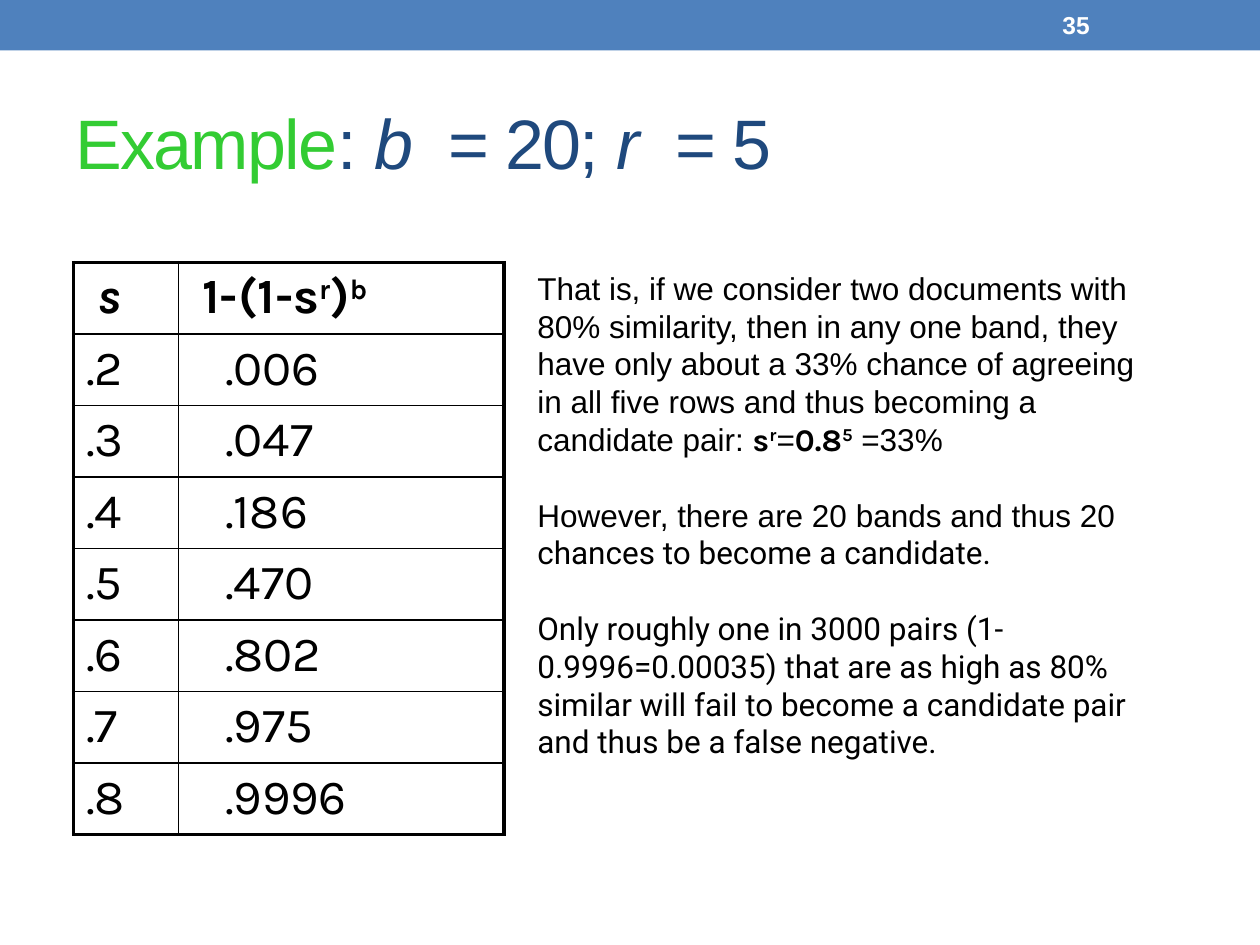
from lxml.etree import SubElement
from pptx import Presentation
from pptx.dml.color import RGBColor
from pptx.enum.shapes import MSO_SHAPE as Shape
from pptx.enum.text import MSO_ANCHOR as Anchor, PP_ALIGN as Align
from pptx.oxml.ns import qn
from pptx.util import Inches, Pt

BLACK = RGBColor(0x00, 0x00, 0x00)
WHITE = RGBColor(0xFF, 0xFF, 0xFF)
BLUE = RGBColor(0x4F, 0x81, 0xBD)
NAVY = RGBColor(0x1F, 0x49, 0x7D)
GREEN = RGBColor(0x33, 0xCC, 0x33)

SANS, TABLE_FONT, BODY_FONT = "Arial", "Karla", "Roboto"
BODY_LINE = Pt(21.6)
SPACE = 0.09  # inches of indent per step in a table cell

TITLE = [("Example", {"color": GREEN}), (": ", {}), ("b", {"italic": True}),
         ("  = 20; ", {}), ("r", {"italic": True}), ("  = 5", {})]

HEADER = [[("s", {"italic": True})],
          [("1-(1-s", {}), ("r", {"raised": True}), (")", {}), ("b", {"raised": True})]]
VALUES = [(".2", ".006"), (".3", ".047"), (".4", ".186"), (".5", ".470"),
          (".6", ".802"), (".7", ".975"), (".8", ".9996")]

FORMULA = {"font": TABLE_FONT, "bold": True}
POWER = {**FORMULA, "raised": True}
BODY = [
    (SANS, [("That is, if we consider two documents with 80% similarity, then in any one "
             "band, they have only about a 33% chance of agreeing in all five rows and "
             "thus becoming a candidate pair: ", {}),
            ("s", FORMULA), ("r", POWER), ("=", {}),
            ("0.8", FORMULA), ("5", POWER), (" =33%", {})]),
    (SANS, [("However, there are 20 bands and thus 20 ", {}),
            ("chances to become a candidate.", {"font": BODY_FONT})]),
    (BODY_FONT, [("Only roughly one in 3000 pairs (1-0.9996=0.00035) that are as high as 80% "
                  "similar will fail to become a candidate pair and thus be a false "
                  "negative.", {})]),
]


def grid(*units):
    """Lengths on a grid of twelve units to the inch."""
    return [Inches(unit / 12) for unit in units]


class SlideBuilder:
    def __init__(self, deck):
        self.page = deck.slides.add_slide(deck.slide_layouts[5])

    def add_spans(self, para, spans, font, size, color, bold=False):
        para.font.name, para.font.size, para.font.bold = font, Pt(size), bold
        para.font.color.rgb = color
        for text, style in spans:
            span = para.add_run()
            span.text = text
            if "font" in style:
                span.font.name = style["font"]
            if "color" in style:
                span.font.color.rgb = style["color"]
            if "bold" in style:
                span.font.bold = style["bold"]
            if "italic" in style:
                span.font.italic = style["italic"]
            if "raised" in style:
                span.font._element.set("baseline", "30000")

    def band(self, *place, color):
        band = self.page.shapes.add_shape(Shape.RECTANGLE, *grid(*place))
        band.shadow.inherit = False
        band.fill.solid()
        band.fill.fore_color.rgb = color
        band.line.fill.background()

    def title(self, *place, spans):
        title = self.page.shapes.title
        title.left, title.top, title.width, title.height = grid(*place)
        title.text_frame.vertical_anchor = Anchor.MIDDLE
        para = title.text_frame.paragraphs[0]
        para.alignment = Align.LEFT
        self.add_spans(para, spans, SANS, 40, NAVY)
        for span in para.runs:
            span.font._element.set("spc", "-100")

    def text(self, *place, paragraphs, size, color, bold=False, anchor=Anchor.TOP, line=None):
        frame = self.page.shapes.add_textbox(*grid(*place)).text_frame
        frame.word_wrap = True
        frame.vertical_anchor = anchor
        for index, (font, spans) in enumerate(paragraphs):
            para = frame.add_paragraph() if index else frame.paragraphs[0]
            para.line_spacing = line
            if index:
                para.space_before = line
            self.add_spans(para, spans, font, size, color, bold)

    def borders(self, cell, **widths):
        properties = cell._tc.get_or_add_tcPr()
        for side in "LRTB":
            edge = SubElement(properties, qn(f"a:ln{side}"), w=str(Pt(widths[side])))
            fill = SubElement(edge, qn("a:solidFill"))
            SubElement(fill, qn("a:srgbClr"), val=str(BLACK))

    def table(self, left, top, columns, row_height, rows):
        last_row, last_column = len(rows) - 1, len(columns) - 1
        table = self.page.shapes.add_table(
            len(rows), len(columns),
            *grid(left, top, sum(columns), row_height * len(rows))).table
        table.first_row = table.horz_banding = False
        for column, width in zip(table.columns, grid(*columns)):
            column.width = width
        for r, row in enumerate(rows):
            for c, spans in enumerate(row):
                cell = table.cell(r, c)
                self.borders(cell, L=1 if c else 2.25, T=1 if r else 2.25,
                             R=2.25 if c == last_column else 1,
                             B=2.25 if r == last_row else 1)
                cell.fill.background()
                steps = 1 if r == 0 else 3 * c
                cell.margin_left = Inches(0.1 + SPACE * steps)
                self.add_spans(cell.text_frame.paragraphs[0], spans,
                               TABLE_FONT, 28, BLACK, bold=r == 0)


def main():
    deck = Presentation()
    deck.slide_width, deck.slide_height = Inches(10), Inches(7.5)
    slide = SlideBuilder(deck)

    # Top band with page number
    slide.band(0, 0, 120, 4.8, color=BLUE)
    slide.text(100, 0.24, 14, 4.32, paragraphs=[(SANS, [("35", {})])],
               size=14, color=WHITE, bold=True, anchor=Anchor.MIDDLE)

    # Title
    slide.title(6, 7, 108, 13, spans=TITLE)

    # Probability table
    rows = [[[(value, {})] for value in pair] for pair in VALUES]
    slide.table(7, 25, columns=(10, 31), row_height=6.67, rows=[HEADER] + rows)

    # Explanation
    slide.text(50, 25, 60, 52, paragraphs=BODY, size=18, color=BLACK, line=BODY_LINE)

    deck.save("out.pptx")


if __name__ == "__main__":
    main()
